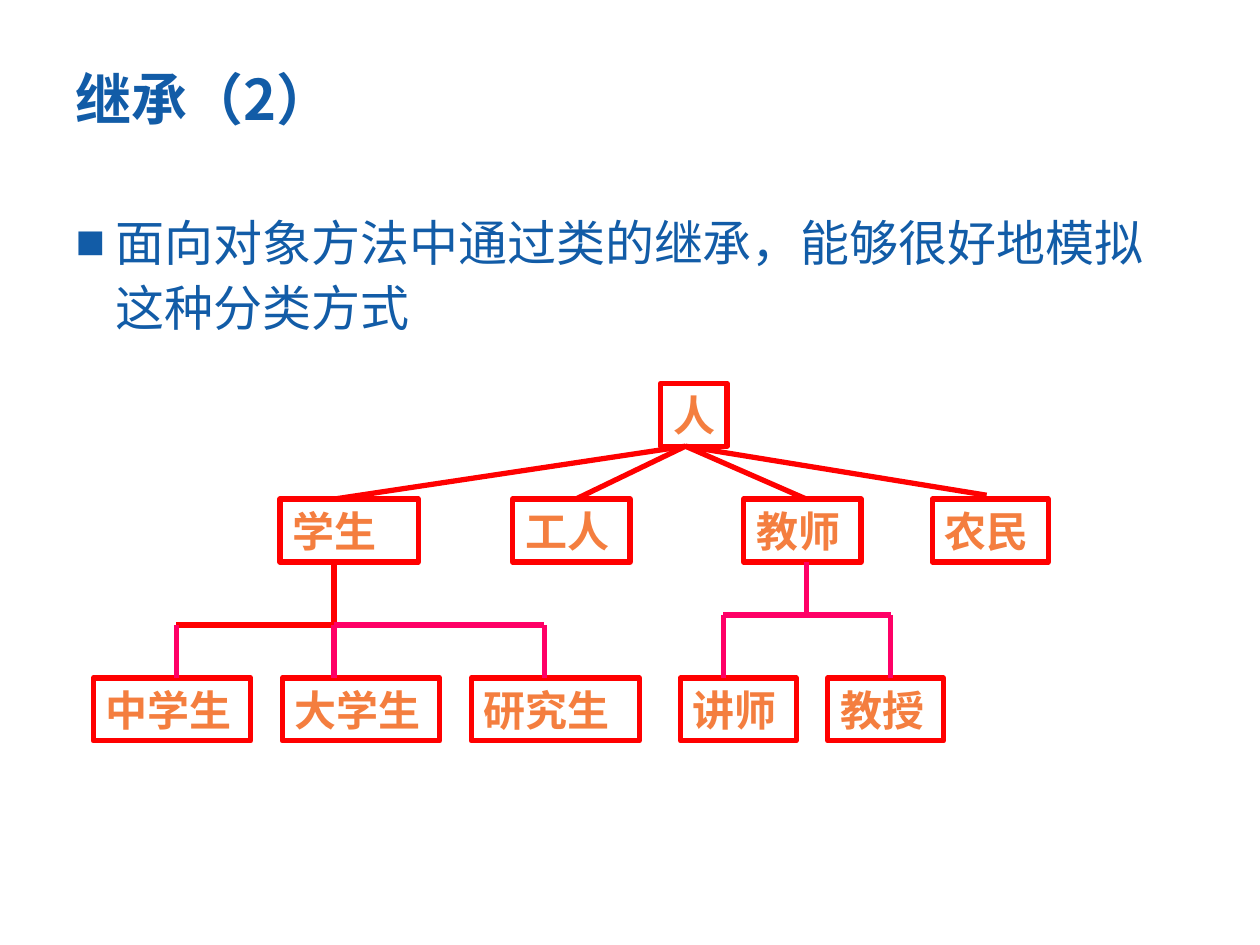
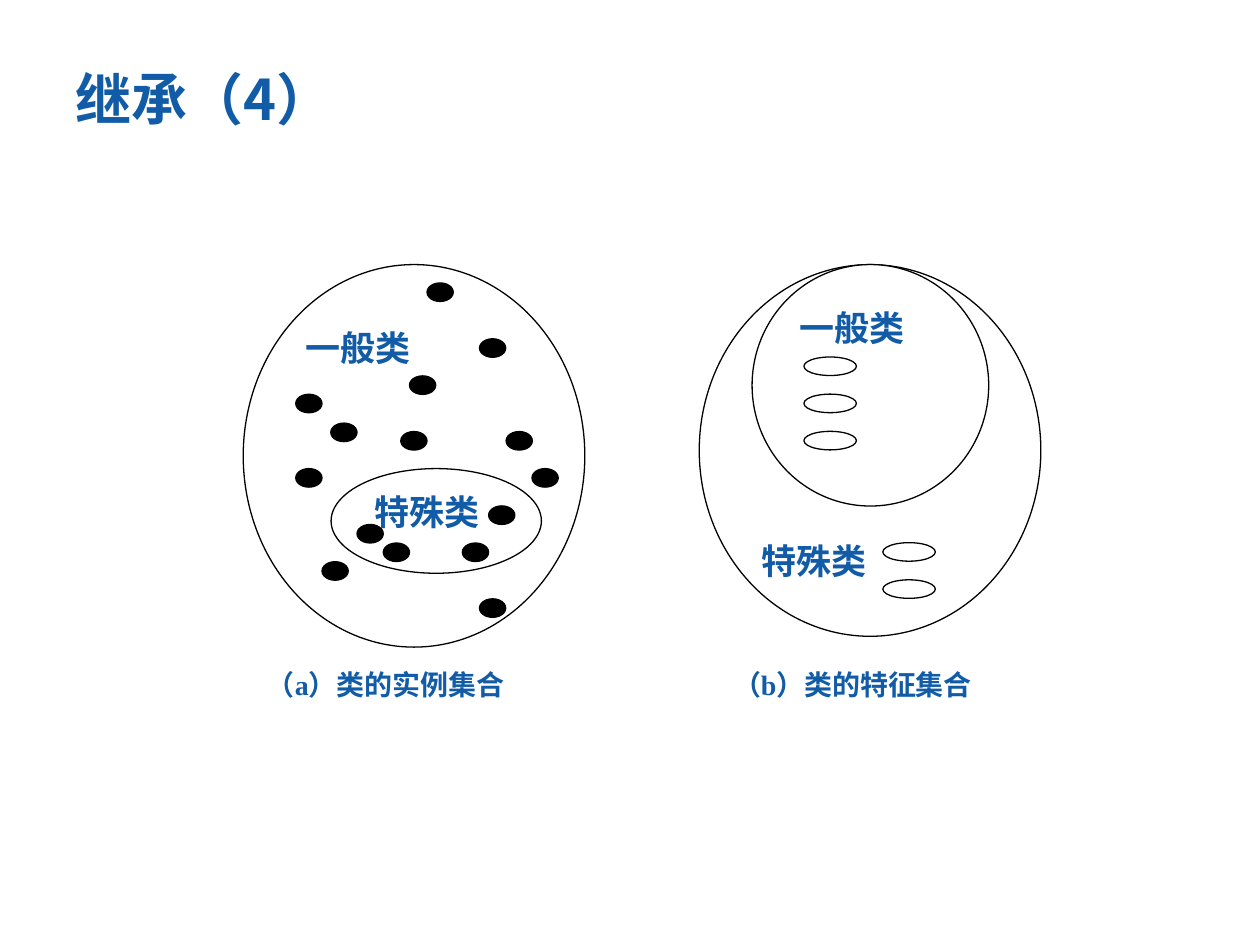
import pptx
import pptx.util
import pptx.dml.color
import pptx.enum.shapes
import pptx.enum.text
import pptx.oxml.ns
import lxml.etree

Pt = pptx.util.Pt
SHAPE = pptx.enum.shapes.MSO_SHAPE
ANCHOR = pptx.enum.text.MSO_ANCHOR
LEFT = pptx.enum.text.PP_ALIGN.LEFT
COLORS = {"blue": "125CA7", "orange": "F47E3F", "red": "FF0000",
          "pink": "FF0066", "black": "000000", "white": "FFFFFF"}
CJK, SERIF = "Noto Sans CJK SC", "Times New Roman"

TITLES = ["继承（2）", "继承（4）"]
BULLET = "面向对象方法中通过类的继承，能够很好地模拟这种分类方式"

BOX_H = 36
TREE = [
    (219, [("人", 377.5, 38)]),
    (285.2, [("学生", 160, 79), ("工人", 293, 67), ("教师", 425, 67), ("农民", 532.8, 66.2)]),
    (387.4, [("中学生", 53.3, 90), ("大学生", 161.3, 90), ("研究生", 269.3, 96),
             ("讲师", 388.8, 66.2), ("教授", 473, 66.2)]),
]
FAN_TOP = (391.7, 255)
FAN_ENDS = [(190.8, 285.2), (329, 285.2), (460.8, 285.2), (563.8, 283)]
BRACKETS = [
    {"x": 190.8, "bar": 357.1, "stem": "red",
     "children": [(100.8, "red"), (190.8, "pink"), (311, "pink")]},
    {"x": 460.8, "bar": 351.4, "stem": "pink",
     "children": [(413.3, "pink"), (509, "pink")]},
]

FEATURE_SETS = [
    ("特殊类", (399.6, 151.2, 195.2, 212.4), ANCHOR.BOTTOM),
    ("一般类", (429.8, 151.2, 135.2, 138), ANCHOR.TOP),
]
FEATURE_SIZE = (30, 10.6)
FEATURES = [(459.4, 204, 3), (504.5, 310.1, 2)]
FEATURE_STEP = 21.25
DOT_SIZE = (15, 10.6)
INSTANCE_SETS = [
    ("一般类", (139, 151.2, 195.2, 218.6),
     [(274, 193.6), (234, 214.8), (169, 225.3), (304, 267.8), (289.2, 246.6), (244, 161.7),
      (229, 246.6), (169, 267.8), (184, 321), (189, 241.8), (274, 342.2)]),
    ("特殊类", (189.2, 267.8, 120.2, 59.8),
     [(204, 299.7), (279.2, 289.1), (219, 310.3), (264.2, 310.3)]),
]
CAPTIONS = [("（a）类的实例集合", 145.4), ("（b）类的特征集合", 411.8)]


def rgb(name):
    return pptx.dml.color.RGBColor.from_string(COLORS[name])


def add_xml(parent, tag, **attrs):
    return lxml.etree.SubElement(parent, pptx.oxml.ns.qn(tag), attrs)


def write(tf, text, size=20, font=SERIF, color="blue", bold=True,
          anchor=ANCHOR.TOP, spacing=None, bottom=3.6, bullet=None):
    tf.word_wrap = True
    tf.auto_size = pptx.enum.text.MSO_AUTO_SIZE.NONE
    tf.vertical_anchor = anchor
    tf.margin_left = tf.margin_right = Pt(7.2)
    tf.margin_top, tf.margin_bottom = Pt(3.6), Pt(bottom)
    p = tf.paragraphs[0]
    p.alignment = LEFT
    p.space_before = Pt(0)
    if spacing:
        p.line_spacing = spacing
    if bullet:
        ppr = p._p.get_or_add_pPr()
        ppr.set("marL", str(Pt(23)))
        ppr.set("indent", str(Pt(-23)))
        add_xml(add_xml(ppr, "a:buClr"), "a:srgbClr", val=COLORS[color])
        add_xml(ppr, "a:buFont", typeface=SERIF)
        add_xml(ppr, "a:buChar", char=bullet)
    r = p.add_run()
    r.text = text
    r.font.size = Pt(size)
    r.font.bold = bold
    r.font.color.rgb = rgb(color)
    r.font.name = font
    add_xml(r._r.get_or_add_rPr(), "a:ea", typeface=CJK)


def place(sp, x, y, w, h):
    sp.left, sp.top, sp.width, sp.height = Pt(x), Pt(y), Pt(w), Pt(h)


def new_slide(prs, layout, title):
    s = prs.slides.add_slide(prs.slide_layouts[layout])
    place(s.shapes.title, 36, 21.6, 648, 74.2)
    write(s.shapes.title.text_frame, title, size=32, font=CJK,
          anchor=ANCHOR.MIDDLE, spacing=0.9)
    return s


def add_shape(s, kind, box, fill=None, line="black", weight=0.75):
    sp = s.shapes.add_shape(kind, *map(Pt, box))
    sp.shadow.inherit = False
    if fill:
        sp.fill.solid()
        sp.fill.fore_color.rgb = rgb(fill)
    else:
        sp.fill.background()
    sp.line.color.rgb = rgb(line)
    sp.line.width = Pt(weight)
    return sp


def add_ellipse(s, box, fill="white"):
    return add_shape(s, SHAPE.OVAL, box, fill)


def add_line(s, start, end, color):
    c = s.shapes.add_connector(pptx.enum.shapes.MSO_CONNECTOR.STRAIGHT,
                               *map(Pt, start + end))
    c.line.color.rgb = rgb(color)
    c.line.width = Pt(3)
    add_xml(c._element.spPr, "a:effectLst")


def build_tree(prs):
    s = new_slide(prs, 1, TITLES[0])
    body = s.placeholders[1]
    place(body, 36, 114.5, 648, 88)
    write(body.text_frame, BULLET, size=28, bold=False, spacing=1.1, bullet="■")
    for end in FAN_ENDS:
        add_line(s, FAN_TOP, end, "red")
    for y, boxes in TREE:
        for name, x, w in boxes:
            sp = add_shape(s, SHAPE.RECTANGLE, (x, y, w, BOX_H), line="red", weight=3)
            write(sp.text_frame, name, size=24, color="orange")
    parent_bottom, child_top = TREE[1][0] + BOX_H, TREE[2][0]
    for b in BRACKETS:
        joint = (b["x"], b["bar"])
        add_line(s, (b["x"], parent_bottom), joint, b["stem"])
        for x, color in b["children"]:
            if x != b["x"]:
                add_line(s, joint, (x, b["bar"]), color)
            add_line(s, (x, b["bar"]), (x, child_top), "pink")


def build_sets(prs):
    s = new_slide(prs, 5, TITLES[1])
    for name, box, anchor in FEATURE_SETS:
        bottom = 0 if anchor == ANCHOR.BOTTOM else 3.6
        write(add_ellipse(s, box).text_frame, name, anchor=anchor, bottom=bottom)
    for x, y, count in FEATURES:
        for i in range(count):
            add_ellipse(s, (x, y + i * FEATURE_STEP) + FEATURE_SIZE)
    for name, box, dots in INSTANCE_SETS:
        write(add_ellipse(s, box).text_frame, name)
        for dot in dots:
            add_ellipse(s, dot + DOT_SIZE, "black")
    for text, x in CAPTIONS:
        tb = s.shapes.add_textbox(Pt(x), Pt(378), Pt(166.3), Pt(36.7))
        write(tb.text_frame, text, size=16)


def main():
    prs = pptx.Presentation()
    prs.slide_width, prs.slide_height = Pt(720), Pt(540)
    build_tree(prs)
    build_sets(prs)
    prs.save("out.pptx")


if __name__ == "__main__":
    main()
